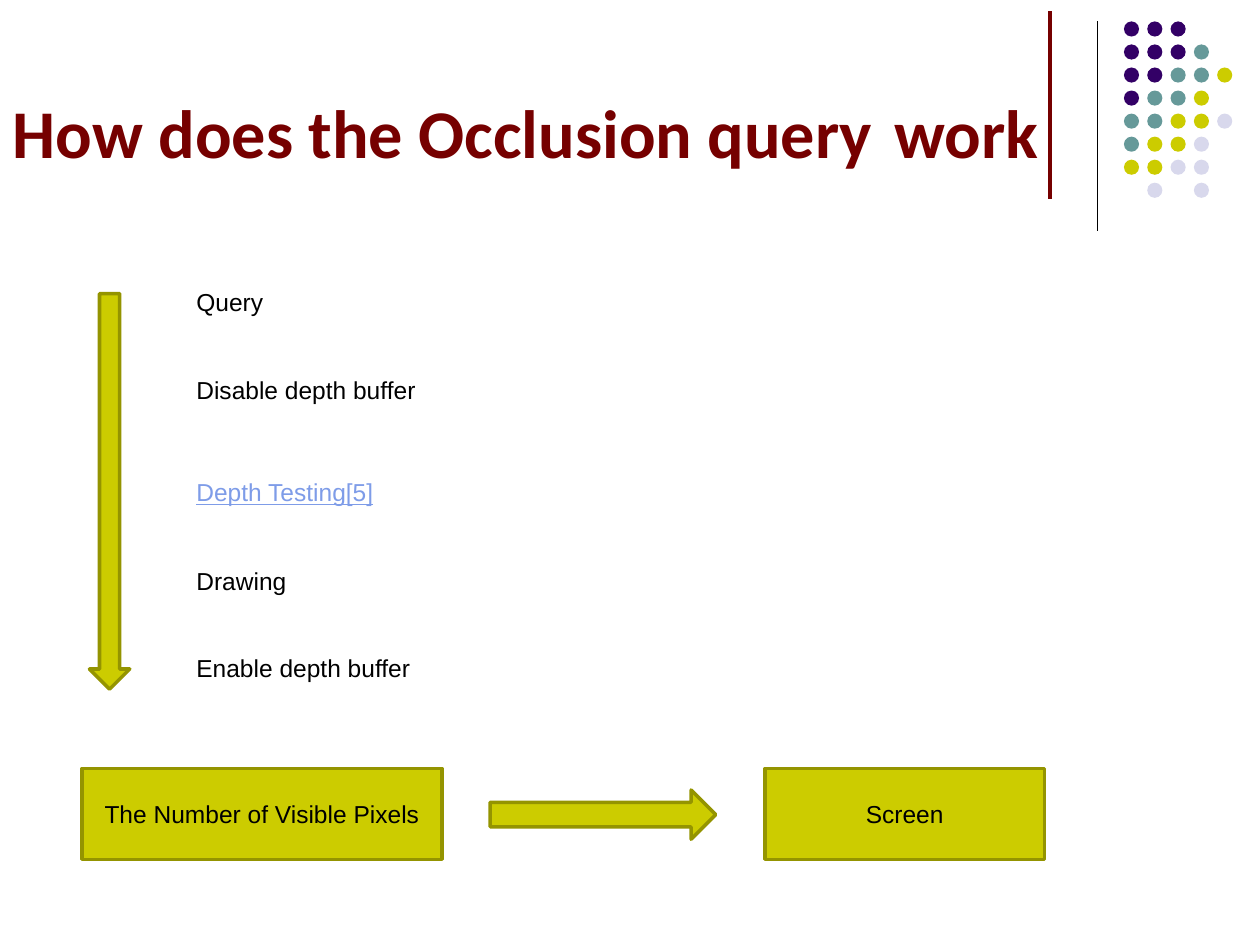
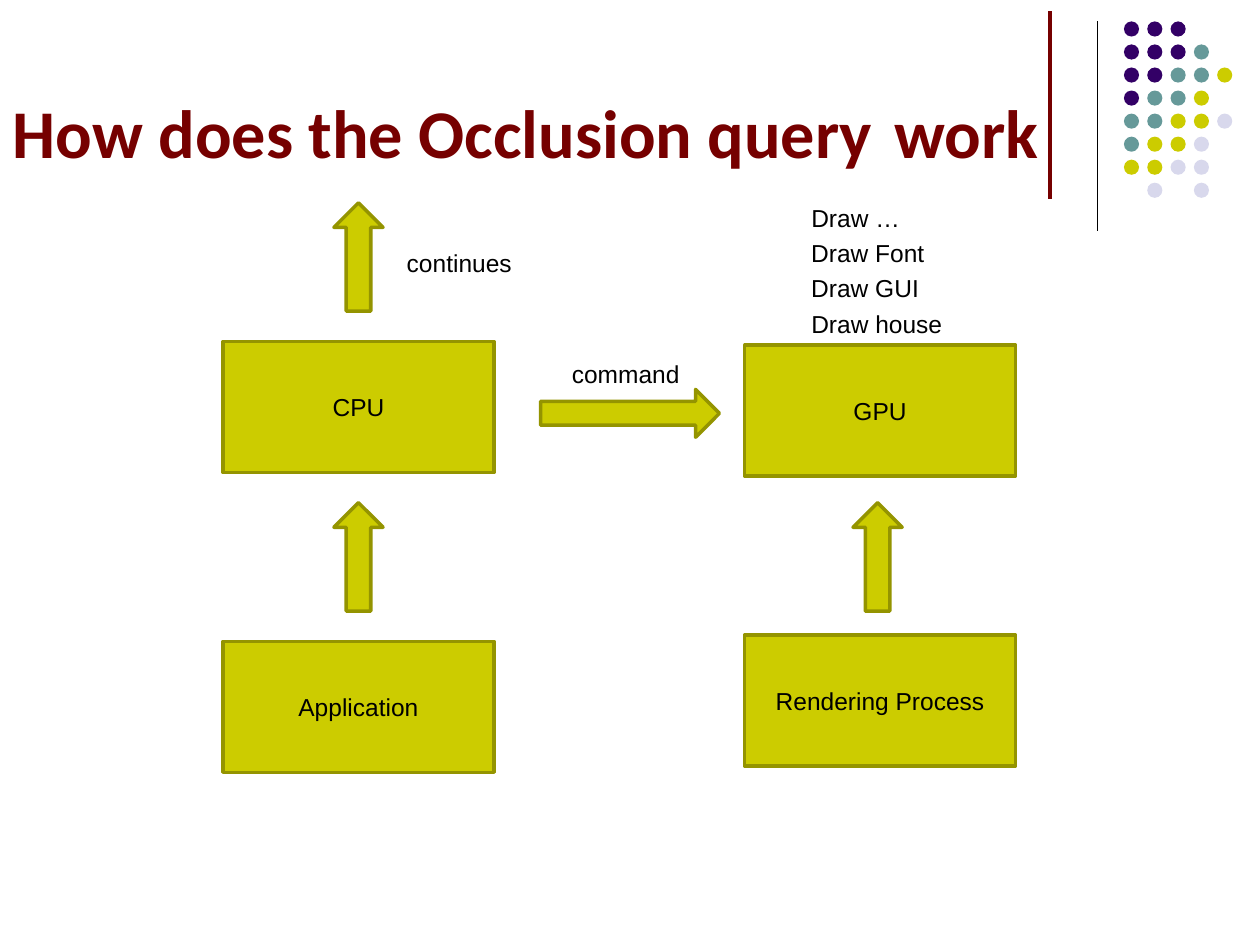
from lxml import etree
from pptx import Presentation
from pptx.dml.color import RGBColor
from pptx.enum.shapes import MSO_CONNECTOR, MSO_SHAPE as SHAPE
from pptx.enum.text import MSO_ANCHOR as ANCHOR, MSO_AUTO_SIZE as FIT, PP_ALIGN as ALIGN
from pptx.oxml.ns import qn
from pptx.util import Inches, Pt

COLORS = {
    "title": "760000", "text": "000000", "reference": "7E9CE8",
    "block": "CCCC00", "edge": "949400",
    "P": "330066", "T": "669999", "Y": "CCCC00", "L": "D8D8EC",
}
TITLE = "How does the Occlusion query \twork"
TITLE_FONT = {"name": "Calibri", "size": Pt(39), "bold": True}
BODY_FONT = {"name": "Arial", "size": Pt(14)}
MARGINS = {"margin_left": Inches(0.1), "margin_right": Inches(0.1),
           "margin_top": Inches(0.05), "margin_bottom": Inches(0.05)}

# Each letter is a dot in the colour of that key; a space leaves a gap.
DOT_ROWS = ["PPP", "PPPT", "PPTTY", "PTTY", "TTYYL", "TYYL", "YYLL", " L L"]
DOT_LEFT, DOT_TOP, DOT_SIZE = 8.92, 0.17, 0.12
DOT_STEP_X, DOT_STEP_Y = 0.74 / 4, 1.28 / 7


def rgb(key):
    return RGBColor.from_string(COLORS[key])


def set_all(target, values):
    for attribute, value in values.items():
        setattr(target, attribute, value)


def write(frame, text, font, color="text", align=ALIGN.LEFT, anchor=ANCHOR.TOP, wrap=True):
    set_all(frame, {**MARGINS, "auto_size": FIT.NONE, "word_wrap": wrap,
                    "vertical_anchor": anchor})
    paragraph = frame.paragraphs[0]
    paragraph.alignment = align
    run = paragraph.add_run()
    run.text = text
    set_all(run.font, font)
    run.font.color.rgb = rgb(color)


def add_filled(slide, kind, left, top, width, height, fill, edge=None):
    shape = slide.shapes.add_shape(kind, *map(Inches, (left, top, width, height)))
    shape.shadow.inherit = False
    shape.fill.solid()
    shape.fill.fore_color.rgb = rgb(fill)
    if edge:
        shape.line.color.rgb = rgb(edge)
        shape.line.width = Pt(2)
    else:
        shape.line.fill.background()
    return shape


def add_arrow(slide, kind, left, top, width, height):
    add_filled(slide, kind, left, top, width, height, "block", "edge")


def add_block(slide, text, left, top, width, height):
    block = add_filled(slide, SHAPE.RECTANGLE, left, top, width, height, "block", "edge")
    write(block.text_frame, text, BODY_FONT, align=ALIGN.CENTER, anchor=ANCHOR.MIDDLE)


def add_label(slide, text, left, top, width, color="text", underline=False):
    label = slide.shapes.add_textbox(*map(Inches, (left, top, width, 0.34)))
    write(label.text_frame, text, {**BODY_FONT, "underline": underline}, color, wrap=False)


def add_rule(slide, x, top, bottom, color, width):
    rule = slide.shapes.add_connector(MSO_CONNECTOR.STRAIGHT, Inches(x), Inches(top),
                                      Inches(x), Inches(bottom))
    rule.line.color.rgb = rgb(color)
    rule.line.width = Pt(width)
    etree.SubElement(rule._element.spPr, qn("a:effectLst"))


def add_dots(slide):
    for row, keys in enumerate(DOT_ROWS):
        for column, key in enumerate(keys):
            if key != " ":
                add_filled(slide, SHAPE.OVAL, DOT_LEFT + column * DOT_STEP_X,
                           DOT_TOP + row * DOT_STEP_Y, DOT_SIZE, DOT_SIZE, key)


def add_titled_slide(deck, layout):
    slide = deck.slides.add_slide(layout)
    title = slide.shapes.title
    set_all(title, {"left": 0, "top": 0, "width": Inches(9.23), "height": Inches(1.42)})
    write(title.text_frame, TITLE, TITLE_FONT, "title", anchor=ANCHOR.BOTTOM)
    return slide


def decorate_layout(layout, slide):
    """Draw the rules and dots on the slide, then move them to its layout."""
    for placeholder in list(layout.placeholders)[1:]:
        layout.shapes.element.remove(placeholder.element)
    add_rule(slide, 8.71, 0.17, 1.83, "text", 0.75)
    add_dots(slide)
    add_rule(slide, 8.33, 0.09, 1.58, "title", 2.25)
    for shape in list(slide.shapes):
        if not shape.is_placeholder:
            layout.shapes.element.append(shape.element)


def draw_query_steps(slide):
    steps = [("Query", 2.23, 0.73), ("Disable depth buffer", 2.93, 1.95),
             ("Depth Testing[5]", 3.74, 1.91), ("Drawing", 4.44, 0.92),
             ("Enable depth buffer", 5.13, 1.91)]
    for text, top, width in steps:
        cited = text.endswith("]")
        add_label(slide, text, 1.46, top, width, "reference" if cited else "text", cited)
    add_arrow(slide, SHAPE.DOWN_ARROW, 0.71, 2.33, 0.32, 3.14)
    add_block(slide, "The Number of Visible Pixels", 0.65, 6.1, 2.86, 0.72)
    add_arrow(slide, SHAPE.RIGHT_ARROW, 3.89, 6.27, 1.79, 0.39)
    add_block(slide, "Screen", 6.07, 6.1, 2.22, 0.72)


def draw_processors(slide):
    cpu_left, gpu_left = 1.77, 5.91
    for text, left, top in [("CPU", cpu_left, 2.71), ("GPU", gpu_left, 2.74),
                            ("Application", cpu_left, 5.09),
                            ("Rendering Process", gpu_left, 5.04)]:
        add_block(slide, text, left, top, 2.15, 1.04)
    for left, top in [(2.65, 3.99), (6.77, 3.99), (2.65, 1.61)]:
        add_arrow(slide, SHAPE.UP_ARROW, left, top, 0.39, 0.86)
    add_arrow(slide, SHAPE.RIGHT_ARROW, 4.29, 3.09, 1.42, 0.38)
    add_label(slide, "command", 4.44, 2.8, 1.06)
    add_label(slide, "continues", 3.13, 1.92, 1.04)
    draw_calls = [("Draw …", 0.91), ("Draw Font", 1.1), ("Draw GUI", 1.06), ("Draw house", 1.25)]
    for index, (text, width) in enumerate(draw_calls):
        add_label(slide, text, 6.34, 1.56 + index * 0.28, width)


def main():
    deck = Presentation()
    deck.slide_width, deck.slide_height = Inches(10), Inches(7.5)
    layout = deck.slide_layouts.get_by_name("Title Only")
    steps_slide = add_titled_slide(deck, layout)
    decorate_layout(layout, steps_slide)
    draw_query_steps(steps_slide)
    draw_processors(add_titled_slide(deck, layout))
    deck.save("out.pptx")


if __name__ == "__main__":
    main()
